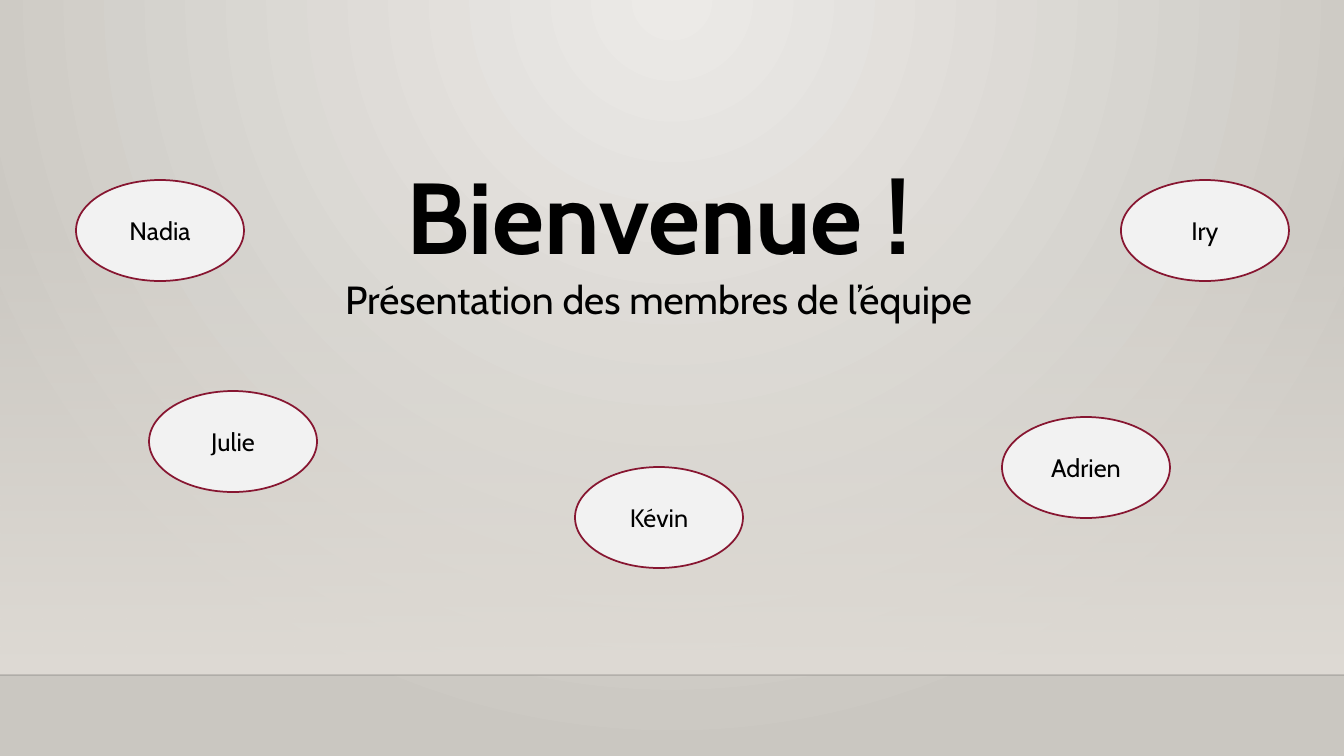
from lxml.etree import SubElement
from pptx import Presentation
from pptx.dml.color import RGBColor
from pptx.enum.shapes import MSO_CONNECTOR, MSO_SHAPE
from pptx.enum.text import MSO_ANCHOR, MSO_AUTO_SIZE, PP_ALIGN
from pptx.oxml.ns import qn
from pptx.util import Emu, Pt

WIDTH, HEIGHT = 1344, 756
FLOOR_TOP = 675


def px(length):
    return Emu(round(length * 914400 / 100.8))


def color(hex_value):
    return RGBColor.from_string(hex_value)


def set_opacity(color_element, percent):
    SubElement(color_element, qn("a:alpha"), val=str(percent * 1000))


class SlideBuilder:
    font_name = "Cabin"
    text_color = "000000"
    bubble_fill = "F2F2F2"
    bubble_line = "871631"

    def __init__(self, slide):
        self.slide = slide

    def set_gradient(self, fill, hex_values):
        fill.gradient()
        for stop, hex_value in zip(fill.gradient_stops, hex_values):
            stop.color.rgb = color(hex_value)

    def background(self, inner, outer):
        """Radial gradient centred on the top edge."""
        self.set_gradient(self.slide.background.fill, (inner, outer))
        gradient = self.slide.element.find(".//" + qn("a:gradFill"))
        gradient.remove(gradient.find(qn("a:lin")))
        circle = SubElement(gradient, qn("a:path"), path="circle")
        SubElement(circle, qn("a:fillToRect"),
                   l="43000", t="0", r="43000", b="100000")

    def fading_wall(self, left, top, width, height, hex_value):
        shape = self.slide.shapes.add_shape(
            MSO_SHAPE.RECTANGLE, px(left), px(top), px(width), px(height))
        shape.shadow.inherit = False
        shape.line.fill.background()
        self.set_gradient(shape.fill, (hex_value, hex_value))
        shape.fill.gradient_angle = 270
        set_opacity(shape.element.find(".//" + qn("a:srgbClr")), 0)

    def floor_line(self, left, right, y, hex_value, opacity):
        line = self.slide.shapes.add_connector(
            MSO_CONNECTOR.STRAIGHT, px(left), px(y), px(right), px(y))
        line.line.color.rgb = color(hex_value)
        line.line.width = Pt(1)
        properties = line.element.spPr
        set_opacity(properties.find(".//" + qn("a:srgbClr")), opacity)
        SubElement(properties, qn("a:effectLst"))

    def set_text(self, paragraph, text, size, bold=False):
        paragraph.text = text
        paragraph.alignment = PP_ALIGN.CENTER
        paragraph.font.name = self.font_name
        paragraph.font.size = Pt(size)
        paragraph.font.bold = bold
        paragraph.font.color.rgb = color(self.text_color)

    def heading(self, left, top, width, height, title, subtitle):
        box = self.slide.shapes.add_textbox(
            px(left), px(top), px(width), px(height))
        frame = box.text_frame
        frame.word_wrap = True
        frame.auto_size = MSO_AUTO_SIZE.SHAPE_TO_FIT_TEXT
        self.set_text(frame.paragraphs[0], title, 72, bold=True)
        self.set_text(frame.add_paragraph(), subtitle, 28)

    def bubble(self, left, top, name):
        shape = self.slide.shapes.add_shape(
            MSO_SHAPE.OVAL, px(left), px(top), px(168), px(101))
        shape.shadow.inherit = False
        shape.fill.solid()
        shape.fill.fore_color.rgb = color(self.bubble_fill)
        shape.line.color.rgb = color(self.bubble_line)
        shape.line.width = Pt(1.25)
        shape.text_frame.vertical_anchor = MSO_ANCHOR.MIDDLE
        self.set_text(shape.text_frame.paragraphs[0], name, 18)


def main():
    presentation = Presentation()
    presentation.slide_width = px(WIDTH)
    presentation.slide_height = px(HEIGHT)
    builder = SlideBuilder(
        presentation.slides.add_slide(presentation.slide_layouts[6]))

    # Backdrop: wall and floor
    wall_top = 223
    builder.background("ECEAE7", "CAC7C1")
    builder.fading_wall(0, wall_top, WIDTH, FLOOR_TOP - wall_top, "DFDBD5")
    builder.floor_line(0, WIDTH, FLOOR_TOP, "000001", 20)

    # Title and subtitle
    builder.heading(297, 149, 723, 186, "Bienvenue !",
                    "Présentation des membres de l’équipe")

    # Team members
    members = [
        (76, 180, "Nadia"),
        (149, 391, "Julie"),
        (575, 467, "Kévin"),
        (1002, 417, "Adrien"),
        (1121, 180, "Iry"),
    ]
    for left, top, name in members:
        builder.bubble(left, top, name)

    presentation.save("out.pptx")


if __name__ == "__main__":
    main()
